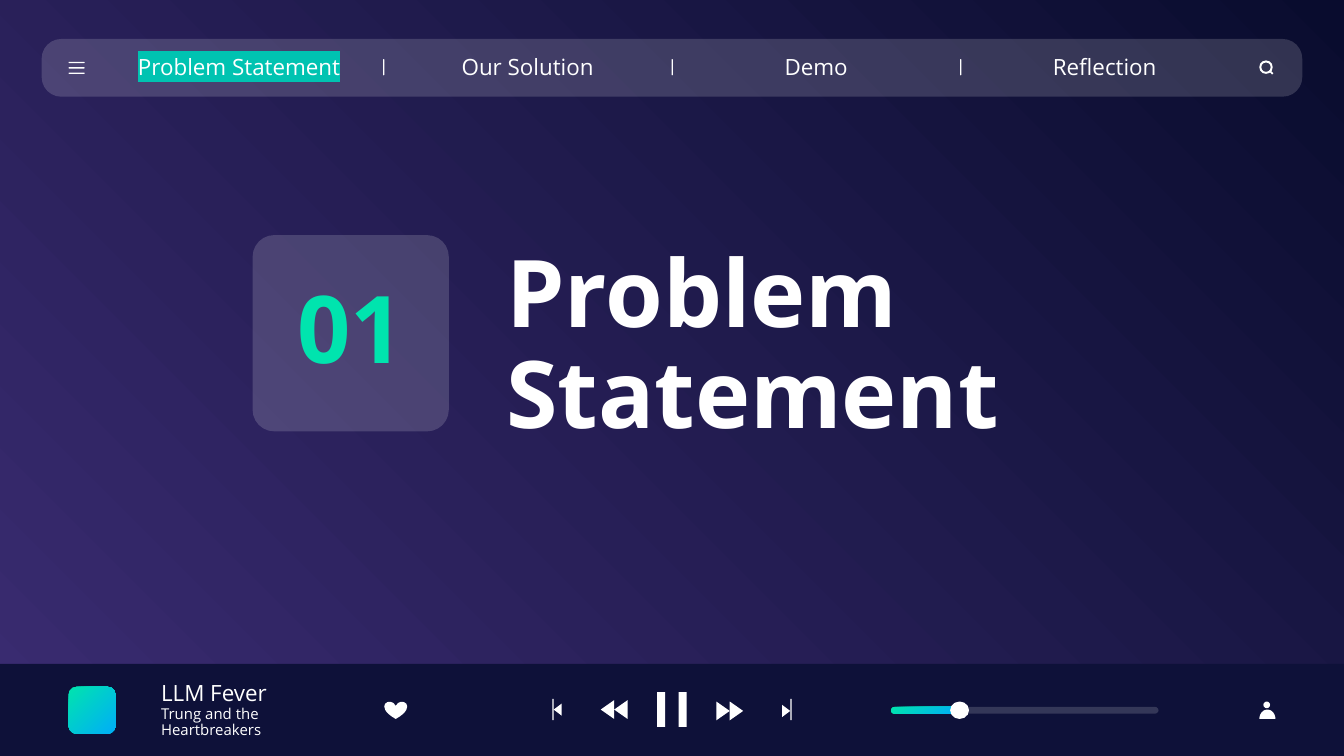
"""Build the "Problem Statement" section slide styled as a music player."""

from dataclasses import dataclass
from math import cos, pi, sin

from lxml.etree import SubElement
from pptx import Presentation
from pptx.dml.color import RGBColor
from pptx.dml.fill import FillFormat
from pptx.enum.shapes import MSO_CONNECTOR, MSO_SHAPE
from pptx.enum.text import MSO_ANCHOR, PP_ALIGN
from pptx.oxml.ns import qn
from pptx.shapes.autoshape import Shape
from pptx.slide import Slide
from pptx.util import Inches, Pt


@dataclass(frozen=True)
class Theme:
    font: str = "Open Sans"
    white: str = "FFFFFF"
    green: str = "00E4AE"
    blue: str = "00AEF8"
    highlight: str = "00C3B1"
    footer: str = "0E1139"
    purple: str = "3B2C72"
    navy: str = "090C2E"
    glass_opacity: int = 16
    title_size: int = 50
    body_size: int = 12
    small_size: int = 8


@dataclass(frozen=True)
class Box:
    left: float
    top: float
    width: float
    height: float


@dataclass(frozen=True)
class Line:
    text: str
    size: int
    color: str = "FFFFFF"
    bold: bool = False
    highlight: str = ""


THEME = Theme()
WIDTH = 10
HEIGHT = WIDTH * 9 / 16
CENTER = WIDTH / 2
STROKE = 0.01
NAVIGATION = ("Problem Statement", "Our Solution", "Demo", "Reflection")
NAVIGATION_STEP = 6.44 / 3
NUMBER_CARD = Box(1.88, 1.75, 1.46, 1.46)


def set_gradient(fill: FillFormat, colors: tuple[str, str], angle: int) -> None:
    fill.gradient()
    fill.gradient_angle = angle
    for stop, color in zip(fill.gradient_stops, colors):
        stop.color.rgb = RGBColor.from_string(color)


def style_shape(shape: Shape, color: str, opacity: int = 100) -> None:
    shape.shadow.inherit = False
    shape.line.fill.background()
    shape.fill.solid()
    shape.fill.fore_color.rgb = RGBColor.from_string(color)
    if opacity < 100:
        color_element = shape._element.spPr.find(qn("a:solidFill"))[0]
        SubElement(color_element, qn("a:alpha"), val=str(opacity * 1000))


def add_preset(slide: Slide, kind: MSO_SHAPE, box: Box, color: str = THEME.white,
               opacity: int = 100, adjustment: float | None = None) -> Shape:
    shape = slide.shapes.add_shape(
        kind, Inches(box.left), Inches(box.top), Inches(box.width), Inches(box.height))
    if adjustment is not None:
        shape.adjustments[0] = adjustment
    style_shape(shape, color, opacity)
    return shape


def add_polygon(slide: Slide, points: list[tuple[float, float]]) -> None:
    start, *others = [(Inches(x), Inches(y)) for x, y in points]
    builder = slide.shapes.build_freeform(*start)
    builder.add_line_segments(others, close=True)
    style_shape(builder.convert_to_shape(), THEME.white)


def add_text(slide: Slide, box: Box, lines: list[Line],
             alignment: PP_ALIGN = PP_ALIGN.LEFT) -> None:
    shape = slide.shapes.add_textbox(
        Inches(box.left), Inches(box.top), Inches(box.width), Inches(box.height))
    frame = shape.text_frame
    frame.word_wrap = True
    frame.vertical_anchor = MSO_ANCHOR.MIDDLE
    frame.margin_left = frame.margin_right = Inches(0.1)
    frame.margin_top = frame.margin_bottom = Inches(0.1)
    for index, line in enumerate(lines):
        paragraph = frame.add_paragraph() if index else frame.paragraphs[0]
        paragraph.alignment = alignment
        paragraph.line_spacing = 0.9
        run = paragraph.add_run()
        run.text = line.text
        run.font.size = Pt(line.size)
        run.font.bold = line.bold
        run.font.color.rgb = RGBColor.from_string(line.color)
        if line.highlight:
            properties = run._r.get_or_add_rPr()
            highlight = SubElement(properties, qn("a:highlight"))
            SubElement(highlight, qn("a:srgbClr"), val=line.highlight)
        run.font.name = THEME.font


def add_navigation(slide: Slide) -> None:
    add_preset(slide, MSO_SHAPE.ROUNDED_RECTANGLE, Box(0.31, 0.29, 9.38, 0.43),
               opacity=THEME.glass_opacity, adjustment=0.34)
    for index, label in enumerate(NAVIGATION):
        offset = index * NAVIGATION_STEP
        if index < len(NAVIGATION) - 1:
            add_preset(slide, MSO_SHAPE.ROUNDED_RECTANGLE,
                       Box(2.85 + offset, 0.44, STROKE, 0.12), adjustment=0.5)
        highlight = "" if index else THEME.highlight
        add_text(slide, Box(0.78 + offset, 0.33, 2, 0.35),
                 [Line(label, THEME.body_size, highlight=highlight)], PP_ALIGN.CENTER)
    for row in range(3):
        add_preset(slide, MSO_SHAPE.ROUNDED_RECTANGLE,
                   Box(0.51, 0.46 + row * 0.04, 0.12, STROKE), adjustment=0.5)
    add_preset(slide, MSO_SHAPE.DONUT, Box(9.37, 0.45, 0.1, 0.1), adjustment=0.15)
    handle = slide.shapes.add_connector(
        MSO_CONNECTOR.STRAIGHT, Inches(9.45), Inches(0.53), Inches(9.47), Inches(0.55))
    handle.line.width = Pt(1)
    handle.line.color.rgb = RGBColor.from_string(THEME.white)
    SubElement(handle._element.spPr, qn("a:effectLst"))


def add_heading(slide: Slide) -> None:
    add_preset(slide, MSO_SHAPE.ROUNDED_RECTANGLE, NUMBER_CARD,
               opacity=THEME.glass_opacity, adjustment=0.11)
    add_text(slide, Box(3.67, 1.75, 4.46, 1.67),
             [Line("Problem Statement", THEME.title_size, bold=True)])
    add_text(slide, NUMBER_CARD,
             [Line("01", THEME.title_size, THEME.green, bold=True)], PP_ALIGN.CENTER)


def add_triangle(slide: Slide, direction: int, base: float, middle: float,
                 length: float, height: float) -> None:
    base_x = CENTER + direction * base
    tip_x = CENTER + direction * (base + length)
    add_polygon(slide, [(base_x, middle - height / 2), (tip_x, middle),
                        (base_x, middle + height / 2)])


def add_controls(slide: Slide) -> None:
    for left in (4.89, 5.05):
        add_preset(slide, MSO_SHAPE.RECTANGLE, Box(left, 5.15, 0.06, 0.26))
    for direction, middle in ((-1, 5.28), (1, 5.29)):
        for base in (0.33, 0.43):
            add_triangle(slide, direction, base, middle, 0.1, 0.14)
        add_triangle(slide, direction, 0.82, middle, 0.06, 0.09)
        bar_center = CENTER + direction * 0.885
        add_preset(slide, MSO_SHAPE.RECTANGLE,
                   Box(bar_center - STROKE / 2, 5.2, STROKE, 0.16))


def add_volume(slide: Slide) -> None:
    add_preset(slide, MSO_SHAPE.ROUNDED_RECTANGLE, Box(6.63, 5.26, 1.99, 0.05),
               opacity=THEME.glass_opacity, adjustment=0.5)
    level = add_preset(slide, MSO_SHAPE.ROUNDED_RECTANGLE,
                       Box(6.63, 5.26, 0.5, 0.05), adjustment=0.5)
    set_gradient(level.fill, (THEME.green, THEME.blue), 315)
    add_preset(slide, MSO_SHAPE.OVAL, Box(7.07, 5.22, 0.14, 0.13))


def add_player(slide: Slide) -> None:
    add_preset(slide, MSO_SHAPE.RECTANGLE, Box(0, 4.94, WIDTH, HEIGHT - 4.94), THEME.footer)
    cover = add_preset(slide, MSO_SHAPE.ROUNDED_RECTANGLE,
                       Box(0.51, 5.11, 0.35, 0.35), adjustment=0.17)
    set_gradient(cover.fill, (THEME.green, THEME.blue), 315)
    add_text(slide, Box(1.1, 5.11, 1.51, 0.35),
             [Line("LLM Fever", THEME.body_size),
              Line("Trung and the Heartbreakers", THEME.small_size)])
    add_preset(slide, MSO_SHAPE.HEART, Box(2.86, 5.22, 0.17, 0.13))
    add_controls(slide)
    add_volume(slide)
    add_preset(slide, MSO_SHAPE.OVAL, Box(9.4, 5.22, 0.05, 0.05))
    angles = [step * pi / 12 for step in range(13)]
    add_polygon(slide, [(9.43 + 0.06 * cos(angle), 5.35 - 0.07 * sin(angle))
                        for angle in angles])


def main() -> None:
    presentation = Presentation()
    presentation.slide_width = Inches(WIDTH)
    presentation.slide_height = Inches(HEIGHT)
    slide = presentation.slides.add_slide(presentation.slide_layouts[6])
    set_gradient(slide.background.fill, (THEME.purple, THEME.navy), 45)
    add_player(slide)
    add_navigation(slide)
    add_heading(slide)
    presentation.save("out.pptx")


if __name__ == "__main__":
    main()
